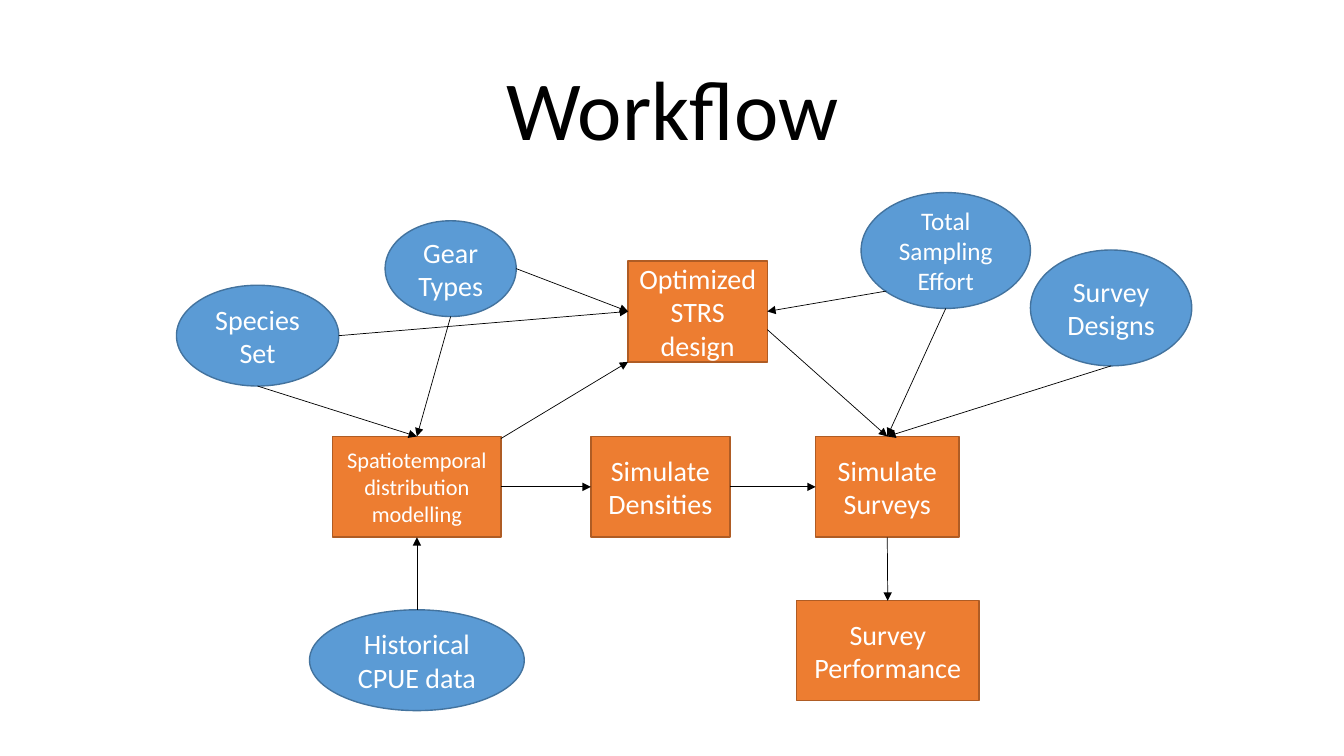
from pptx import Presentation
from pptx.dml.color import RGBColor
from pptx.enum import shapes, text
from pptx.oxml import parse_xml
from pptx.oxml import ns
from pptx.util import Inches, Pt

BLACK = RGBColor(0x00, 0x00, 0x00)
WHITE = RGBColor(0xFF, 0xFF, 0xFF)
ORANGE = RGBColor(0xED, 0x7D, 0x31)
RUST = RGBColor(0xAF, 0x5C, 0x24)
BLUE = RGBColor(0x5B, 0x9B, 0xD5)
NAVY = RGBColor(0x43, 0x73, 0x9E)

TOP, LEFT, BOTTOM, RIGHT = (0.5, 0), (0, 0.5), (0.5, 1), (1, 0.5)


def write(shape, words, size, color):
    frame = shape.text_frame
    frame.word_wrap = True
    frame.vertical_anchor = text.MSO_ANCHOR.MIDDLE
    frame.text = words
    para = frame.paragraphs[0]
    para.alignment = text.PP_ALIGN.CENTER
    para.font.name = "Calibri"
    para.font.size = Pt(size)
    para.font.color.rgb = color
    return para


def title(slide, words):
    box = slide.shapes.add_textbox(*map(Inches, (0.92, 0.4, 11.5, 1.45)))
    write(box, words, 60, BLACK).line_spacing = 0.9


def node(slide, kind, fill, edge, place, words, size):
    shape = slide.shapes.add_shape(kind, *map(Inches, place))
    shape.shadow.inherit = False
    shape.fill.solid()
    shape.fill.fore_color.rgb = fill
    shape.line.color.rgb = edge
    shape.line.width = Pt(1)
    write(shape, words, size, WHITE)
    return shape


def step(slide, place, words, size=20):
    return node(slide, shapes.MSO_SHAPE.RECTANGLE, ORANGE, RUST,
                place, words, size)


def input_(slide, place, words, size=20):
    return node(slide, shapes.MSO_SHAPE.OVAL, BLUE, NAVY, place, words, size)


def point(shape, spot):
    return (round(shape.left + spot[0] * shape.width),
            round(shape.top + spot[1] * shape.height))


def arrow(slide, start, exit_, end, entry):
    line = slide.shapes.add_connector(
        shapes.MSO_CONNECTOR.STRAIGHT,
        *point(start, exit_), *point(end, entry))
    line.line.color.rgb = BLACK
    line.line.width = Pt(0.5)
    space = ns.nsdecls("a")
    line.line._get_or_add_ln().append(
        parse_xml(f'<a:tailEnd {space} type="triangle"/>'))
    line._element.spPr.append(parse_xml(f"<a:effectLst {space}/>"))


def main():
    deck = Presentation()
    deck.slide_width = Inches(13.33)
    deck.slide_height = Inches(7.5)
    slide = deck.slides.add_slide(deck.slide_layouts[6])
    title(slide, "Workflow")

    model = step(slide, (3.3, 4.33, 1.67, 1),
                 "Spatiotemporal distribution modelling", 16)
    dense = step(slide, (5.86, 4.33, 1.38, 1), "Simulate Densities")
    survey = step(slide, (8.09, 4.33, 1.42, 1), "Simulate Surveys")
    result = step(slide, (7.9, 5.96, 1.81, 0.99), "Survey Performance")
    optim = step(slide, (6.23, 2.59, 1.38, 1), "Optimized STRS design")

    species = input_(slide, (1.75, 2.83, 1.61, 1), "Species Set")
    gear = input_(slide, (3.82, 2.19, 1.3, 0.95), "Gear Types")
    effort = input_(slide, (8.54, 1.91, 1.68, 1.15),
                    "Total Sampling Effort", 18)
    design = input_(slide, (10.22, 2.48, 1.6, 1.15), "Survey Designs")
    history = input_(slide, (3.07, 6.05, 2.13, 1), "Historical CPUE data")

    for link in (
        (gear, BOTTOM, model, TOP),
        (species, BOTTOM, model, TOP),
        (history, TOP, model, BOTTOM),
        (model, RIGHT, dense, LEFT),
        (dense, RIGHT, survey, LEFT),
        (effort, BOTTOM, survey, TOP),
        (design, BOTTOM, survey, TOP),
        (survey, BOTTOM, result, TOP),
        (gear, RIGHT, optim, LEFT),
        (species, RIGHT, optim, LEFT),
        (effort, (0.15, 0.85), optim, RIGHT),
        (model, (1, 0.02), optim, (0, 1)),
        (optim, (1, 0.68), survey, TOP),
    ):
        arrow(slide, *link)

    deck.save("out.pptx")


if __name__ == "__main__":
    main()
